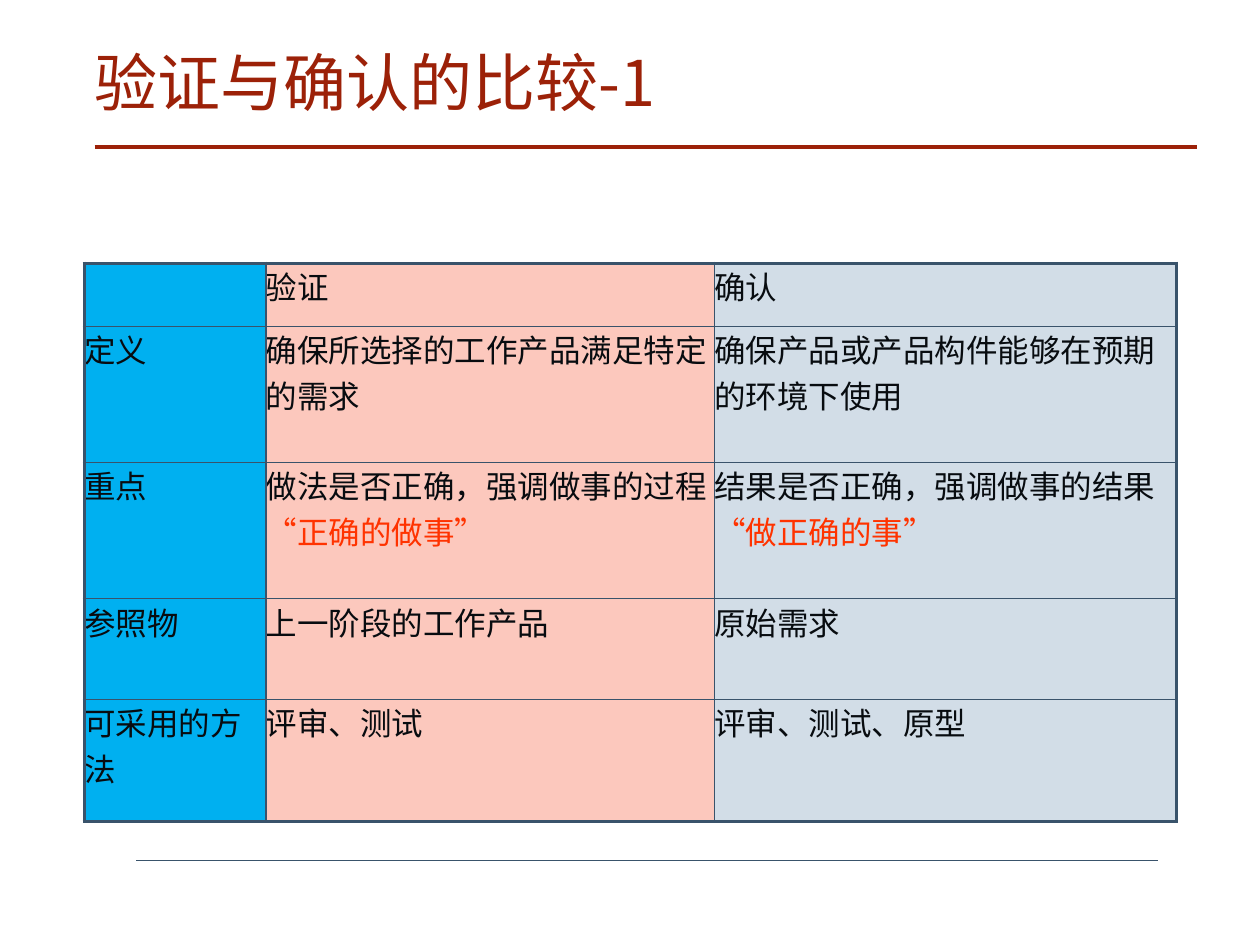
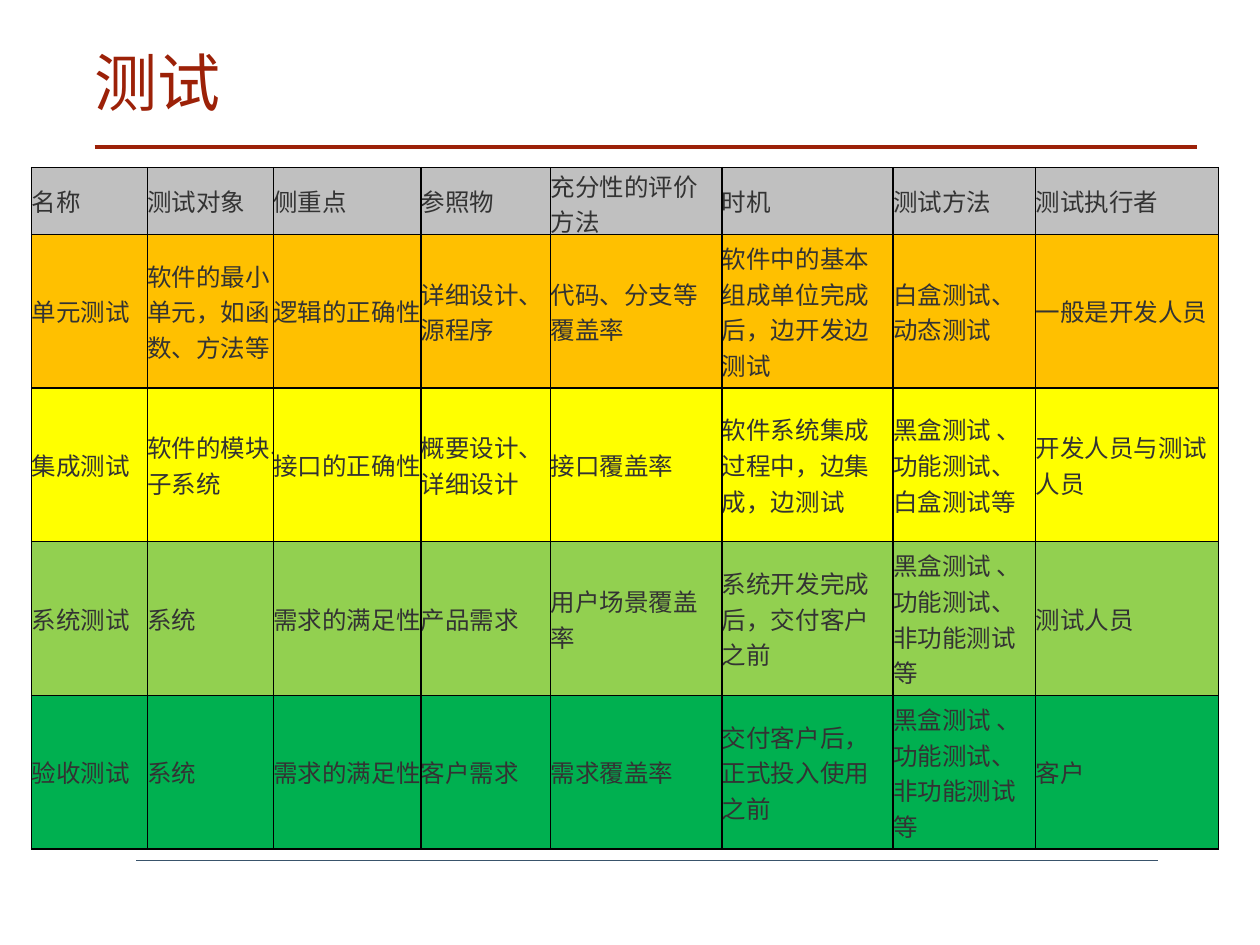
from lxml import etree
from pptx import Presentation
from pptx.dml.color import RGBColor
from pptx.enum.lang import MSO_LANGUAGE_ID
from pptx.enum.shapes import MSO_CONNECTOR
from pptx.enum.text import MSO_ANCHOR
from pptx.oxml.ns import qn
from pptx.util import Inches, Pt

STRAIGHT = MSO_CONNECTOR.STRAIGHT
TOP, MIDDLE = MSO_ANCHOR.TOP, MSO_ANCHOR.MIDDLE
CHINESE = MSO_LANGUAGE_ID.SIMPLIFIED_CHINESE

CJK_FONT = "Noto Sans CJK SC"
RED = RGBColor(0x9C, 0x21, 0x08)
NAVY = RGBColor(0x39, 0x53, 0x6B)
INK = RGBColor(0x08, 0x0C, 0x10)
ORANGE_RED = RGBColor(0xFF, 0x33, 0x00)
DARK_GREY = RGBColor(0x33, 0x33, 0x33)
BLACK = RGBColor(0x00, 0x00, 0x00)
SKY = RGBColor(0x00, 0xB0, 0xF0)
PINK = RGBColor(0xFC, 0xC8, 0xBD)
PALE_BLUE = RGBColor(0xD2, 0xDD, 0xE7)
SILVER = RGBColor(0xC0, 0xC0, 0xC0)
AMBER = RGBColor(0xFF, 0xC0, 0x00)
YELLOW = RGBColor(0xFF, 0xFF, 0x00)
LIME = RGBColor(0x92, 0xD0, 0x50)
GREEN = RGBColor(0x00, 0xB0, 0x50)

COLUMN_FILLS = [SKY, PINK, PALE_BLUE]
COMPARISON = [
    ["", "验证", "确认"],
    ["定义", "确保所选择的工作产品满足特定的需求", "确保产品或产品构件能够在预期的环境下使用"],
    ["重点", "做法是否正确，强调做事的过程\n“正确的做事”",
     "结果是否正确，强调做事的结果\n“做正确的事”"],
    ["参照物", "上一阶段的工作产品", "原始需求"],
    ["可采用的方法", "评审、测试", "评审、测试、原型"],
]

ROW_FILLS = [SILVER, AMBER, YELLOW, LIME, GREEN]
TEST_LEVELS = [
    ["名称", "测试对象", "侧重点", "参照物", "充分性的评价方法", "时机", "测试方法", "测试执行者"],
    ["单元测试", "软件的最小单元，如函数、方法等", "逻辑的正确性", "详细设计、源程序",
     "代码、分支等覆盖率", "软件中的基本组成单位完成后，边开发边测试",
     "白盒测试、动态测试", "一般是开发人员"],
    ["集成测试", "软件的模块、子系统", "接口的正确性", "概要设计、详细设计", "接口覆盖率",
     "软件系统集成过程中，边集成，边测试", "黑盒测试 、功能测试、白盒测试等",
     "开发人员与测试人员"],
    ["系统测试", "系统", "需求的满足性", "产品需求", "用户场景覆盖率",
     "系统开发完成后，交付客户之前", "黑盒测试 、功能测试、非功能测试等", "测试人员"],
    ["验收测试", "系统", "需求的满足性", "客户需求", "需求覆盖率",
     "交付客户后，正式投入使用之前", "黑盒测试 、功能测试、非功能测试等", "客户"],
]


def style_run(r, size, color, font=CJK_FONT):
    """Set the size, colour, language and both typefaces of a run."""
    r.font.size = Pt(size)
    r.font.color.rgb = color
    r.font.name = font
    r.font.language_id = CHINESE
    ea = etree.SubElement(r.font._element, qn("a:ea"))
    ea.set("typeface", CJK_FONT)


def clear_margins(box):
    """Remove the inner margins of a text frame or table cell."""
    box.margin_left = box.margin_right = box.margin_top = box.margin_bottom = 0


def add_rule(s, left, right, y, color, width):
    """Draw a horizontal line without a shadow."""
    line = s.shapes.add_connector(STRAIGHT, Inches(left), Inches(y), Inches(right), Inches(y))
    line.line.color.rgb = color
    line.line.width = Pt(width)
    etree.SubElement(line._element.spPr, qn("a:effectLst"))


def add_title(s, text, font):
    """Write the slide title."""
    tf = s.shapes.add_textbox(Inches(0.75), Inches(0.42), Inches(8.75), Inches(0.61)).text_frame
    tf.word_wrap = True
    tf.vertical_anchor = TOP
    clear_margins(tf)
    tf.text = text
    p = tf.paragraphs[0]
    p.line_spacing = 0.89
    style_run(p.runs[0], 36, RED, font)


def add_page(prs, title, font=CJK_FONT):
    """Add a slide with the shared rules and title."""
    s = prs.slides.add_slide(prs.slide_layouts[6])
    add_rule(s, 1.08, 9.19, 6.83, NAVY, 1)
    add_rule(s, 0.75, 9.5, 1.17, RED, 2.25)
    add_title(s, title, font)
    return s


def set_borders(cell, color, widths):
    """Draw the left, right, top and bottom borders of a cell."""
    tc_pr = cell._tc.get_or_add_tcPr()
    for side, width in zip("LRTB", widths):
        ln = etree.SubElement(tc_pr, qn(f"a:ln{side}"), w=str(Pt(width)))
        fill = etree.SubElement(ln, qn("a:solidFill"))
        etree.SubElement(fill, qn("a:srgbClr"), val=str(color))


def add_grid(s, left, top, widths, heights, rows, fill_at, size, color, border, outer, anchor):
    """Add a table whose outer border may be heavier than its inner one."""
    last_row, last_col = len(heights) - 1, len(widths) - 1
    table = s.shapes.add_table(len(heights), len(widths), Inches(left), Inches(top),
                               Inches(sum(widths)), Inches(sum(heights))).table
    table.first_row = table.horz_banding = False
    for column, width in zip(table.columns, widths):
        column.width = Inches(width)
    for i, (row, height) in enumerate(zip(table.rows, heights)):
        row.height = Inches(height)
        for j, cell in enumerate(row.cells):
            edges = (j == 0, j == last_col, i == 0, i == last_row)
            set_borders(cell, border, [outer if edge else 1 for edge in edges])
            cell.fill.solid()
            cell.fill.fore_color.rgb = fill_at(i, j)
            cell.vertical_anchor = anchor
            clear_margins(cell)
            cell.text_frame.text = rows[i][j]
            for p in cell.text_frame.paragraphs:
                for r in p.runs:
                    style_run(r, size, ORANGE_RED if r.text.startswith("“") else color)


def main():
    """Build the two slides and save them."""
    prs = Presentation()
    prs.slide_width, prs.slide_height = Inches(10), Inches(7.5)

    s = add_page(prs, "验证与确认的比较-1")
    add_grid(s, 0.67, 2.09, [1.44, 3.56, 3.67], [0.5, 1.08, 1.08, 0.8, 0.97], COMPARISON,
             lambda i, j: COLUMN_FILLS[j], 18, INK, NAVY, 2.25, TOP)

    s = add_page(prs, "测试", "Arial")
    add_grid(s, 0.25, 1.33, [0.92, 1, 1.17, 1.03, 1.36, 1.36, 1.13, 1.45], [0.53] + [1.22] * 4,
             TEST_LEVELS, lambda i, j: ROW_FILLS[i], 14, DARK_GREY, BLACK, 1, MIDDLE)

    prs.save("out.pptx")


if __name__ == "__main__":
    main()
